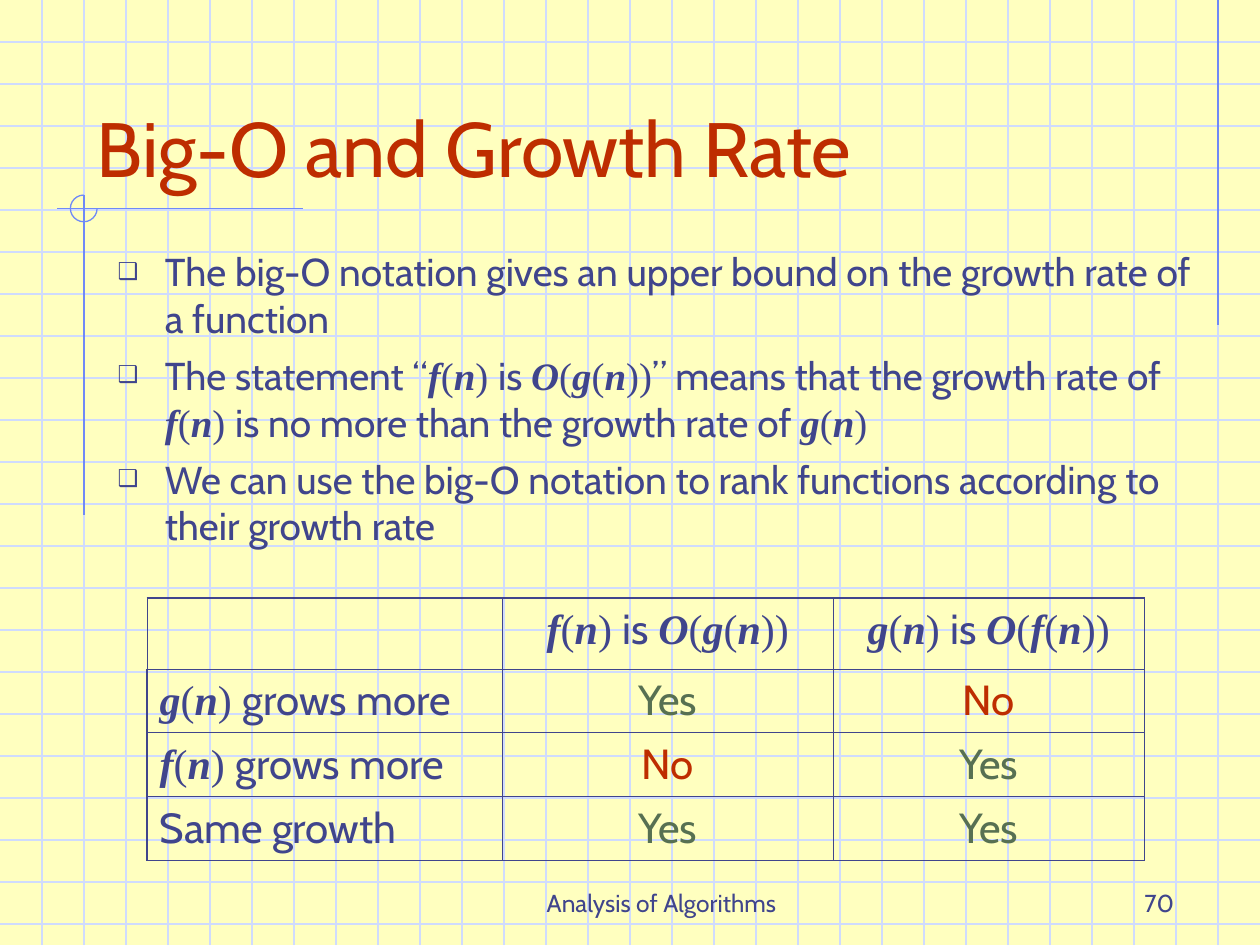
from dataclasses import dataclass
from itertools import groupby

from lxml import etree
from pptx import Presentation
from pptx.dml.color import RGBColor
from pptx.enum.shapes import MSO_CONNECTOR, MSO_SHAPE
from pptx.enum.text import MSO_ANCHOR, MSO_AUTO_SIZE, PP_ALIGN
from pptx.oxml.ns import qn
from pptx.util import Pt

LEFT, MID, RIGHT = PP_ALIGN.LEFT, PP_ALIGN.CENTER, PP_ALIGN.RIGHT
BOTTOM = MSO_ANCHOR.BOTTOM
FIXED = MSO_AUTO_SIZE.NONE
STRAIGHT = MSO_CONNECTOR.STRAIGHT
ARC = MSO_SHAPE.ARC

SANS, SERIF = "Cabin", "Times New Roman"
HUES = {
    "paper": "FFFFBF",
    "grid": "CFDBFD",
    "accent": "6F89F7",
    "text": "40458C",
    "red": "BE2D00",
    "green": "577052",
}
WIDE, HIGH, STEP = 720, 540, 24
THICK, THIN = 1.08, 0.45


@dataclass
class Rule:
    x1: float
    y1: float
    x2: float
    y2: float
    hue: str


@dataclass
class Note:
    text: str
    x: float
    width: float
    align: PP_ALIGN


GRID = [Rule(0, y, WIDE, y, "grid") for y in range(STEP, HIGH, STEP)]
GRID += [Rule(x, 0, x, HIGH, "grid") for x in range(STEP, WIDE, STEP)]
ACCENTS = [
    Rule(696, 0, 696, 186, "accent"),
    Rule(173, 119.25, 32.5, 119.25, "accent"),
    Rule(48, 111.5, 48, 294.5, "accent"),
]
NOTES = [
    Note("Analysis of Algorithms", 264, 228, MID),
    Note("70", 528, 150, RIGHT),
]
# Text between dollar signs is set as mathematics.
POINTS = [
    "The big-O notation gives an upper bound on the growth rate of a function",
    "The statement “$f(n) $is $O(g(n))$” means that the growth rate of "
    "$f(n) $is no more than the growth rate of $g(n)$",
    "We can use the big-O notation to rank functions according to "
    "their growth rate",
]
CELLS = [
    ["", "$f(n) $is $O(g(n))$", "$g(n) $is $O(f(n))$"],
    ["$g(n) $grows more", "Yes", "No"],
    ["$f(n) $grows more", "No", "Yes"],
    ["Same growth", "Yes", "Yes"],
]
ANSWERS = {"Yes": "green", "No": "red"}
COLS = [203.25, 188.75, 178]
ROWS = [40.5, 36.5, 36.5, 36.5]


def color(hue: str) -> RGBColor:
    return RGBColor.from_string(HUES[hue])


def write(para, text: str, *, size: float, hue: str = "text",
          align: PP_ALIGN = LEFT, before: float = 0) -> None:
    """Fill a paragraph, with bold italic letters inside $...$."""
    para.alignment = align
    para.space_before = Pt(before)
    for i, part in enumerate(text.split("$")):
        math = i % 2 == 1
        for letter, chars in groupby(part, lambda c: math and c.isalpha()):
            run = para.add_run()
            run.text = "".join(chars)
            font = run.font
            font.name = SERIF if math else SANS
            font.size = Pt(size)
            font.bold = font.italic = letter
            font.color.rgb = color(hue)


def place(shape, x: float, y: float, width: float, height: float) -> None:
    shape.left, shape.top = Pt(x), Pt(y)
    shape.width, shape.height = Pt(width), Pt(height)


def draw_rule(slide, rule: Rule) -> None:
    line = slide.shapes.add_connector(
        STRAIGHT, Pt(rule.x1), Pt(rule.y1), Pt(rule.x2), Pt(rule.y2))
    line.line.color.rgb = color(rule.hue)
    line.line.width = Pt(0.75)
    etree.SubElement(line.element.spPr, qn("a:effectLst"))


def draw_arc(slide) -> None:
    arc = slide.shapes.add_shape(ARC, Pt(40.25), Pt(111.5), Pt(15.25), Pt(15.25))
    arc.adjustments[0] = 0
    arc.adjustments[1] = 162  # 270 degrees, in units of 100000/60000 degree
    arc.shadow.inherit = False
    arc.fill.background()
    arc.line.color.rgb = color("accent")
    arc.line.width = Pt(0.75)


def draw_note(slide, note: Note) -> None:
    box = slide.shapes.add_textbox(Pt(note.x), Pt(492), Pt(note.width), Pt(36))
    frame = box.text_frame
    frame.word_wrap = True
    frame.vertical_anchor = BOTTOM
    write(frame.paragraphs[0], note.text, size=14, align=note.align)


def add_bullet(para) -> None:
    props = para._p.get_or_add_pPr()
    props.set("marL", str(Pt(27)))
    props.set("indent", str(Pt(-27)))
    tint = etree.SubElement(props, qn("a:buClr"))
    etree.SubElement(tint, qn("a:srgbClr"), val=HUES["text"])
    etree.SubElement(props, qn("a:buSzPct"), val="60000")
    etree.SubElement(props, qn("a:buChar"), char="❑")


def fill_title(shape) -> None:
    place(shape, 48, 24, 612, 90)
    frame = shape.text_frame
    frame.auto_size = FIXED
    frame.vertical_anchor = BOTTOM
    write(frame.paragraphs[0], "Big-O and Growth Rate", size=44, hue="red")


def fill_body(shape) -> None:
    place(shape, 60, 138, 630, 204)
    frame = shape.text_frame
    frame.auto_size = FIXED
    for i, text in enumerate(POINTS):
        para = frame.add_paragraph() if i else frame.paragraphs[0]
        add_bullet(para)
        write(para, text, size=22.2, before=6 if i else 0)


def set_border(cell, side: str, width: float) -> None:
    props = cell._tc.get_or_add_tcPr()
    line = etree.SubElement(props, qn(f"a:ln{side}"), w=str(Pt(width)))
    fill = etree.SubElement(line, qn("a:solidFill"))
    etree.SubElement(fill, qn("a:srgbClr"), val=HUES["text"])


def draw_table(slide) -> None:
    table = slide.shapes.add_table(
        len(ROWS), len(COLS), Pt(84), Pt(341.75),
        Pt(sum(COLS)), Pt(sum(ROWS))).table
    table.first_row = table.horz_banding = False
    for col, width in zip(table.columns, COLS):
        col.width = Pt(width)
    for row, height in zip(table.rows, ROWS):
        row.height = Pt(height)
    for r, texts in enumerate(CELLS):
        for c, text in enumerate(texts):
            cell = table.cell(r, c)
            outer = {
                "L": c == 0 and r > 0,
                "R": c == len(COLS) - 1,
                "T": r == 0,
                "B": r == len(ROWS) - 1,
            }
            for side, thick in outer.items():
                set_border(cell, side, THICK if thick else THIN)
            cell.fill.background()
            write(cell.text_frame.paragraphs[0], text, size=24,
                  hue=ANSWERS.get(text, "text"), align=MID if c else LEFT)


def main() -> None:
    deck = Presentation()
    deck.slide_width, deck.slide_height = Pt(WIDE), Pt(HIGH)
    slide = deck.slides.add_slide(deck.slide_layouts[1])
    slide.background.fill.solid()
    slide.background.fill.fore_color.rgb = color("paper")
    for rule in GRID + ACCENTS:
        draw_rule(slide, rule)
    draw_arc(slide)
    for note in NOTES:
        draw_note(slide, note)
    title, body = slide.shapes.title, slide.placeholders[1]
    fill_title(title)
    fill_body(body)
    for shape in (title, body):  # bring the text in front of the grid
        shape.element.getparent().append(shape.element)
    draw_table(slide)
    deck.save("out.pptx")


if __name__ == "__main__":
    main()
